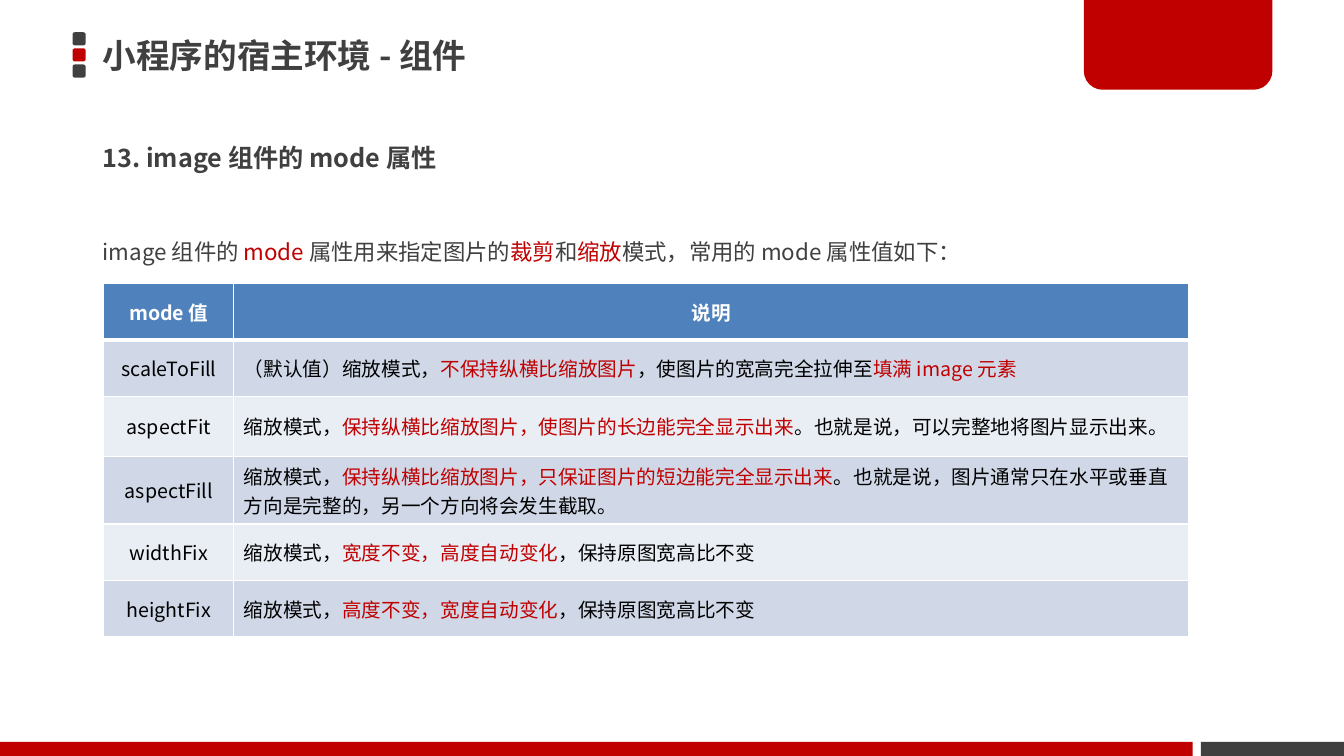
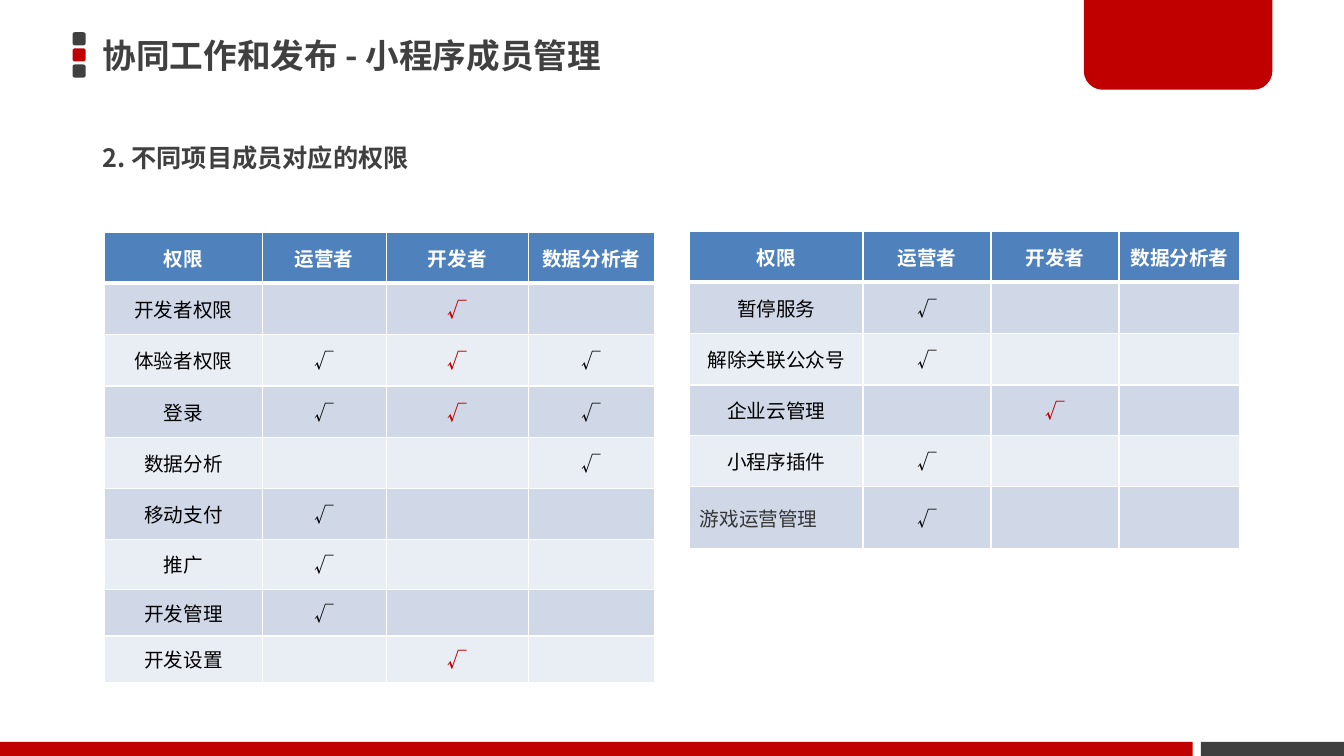
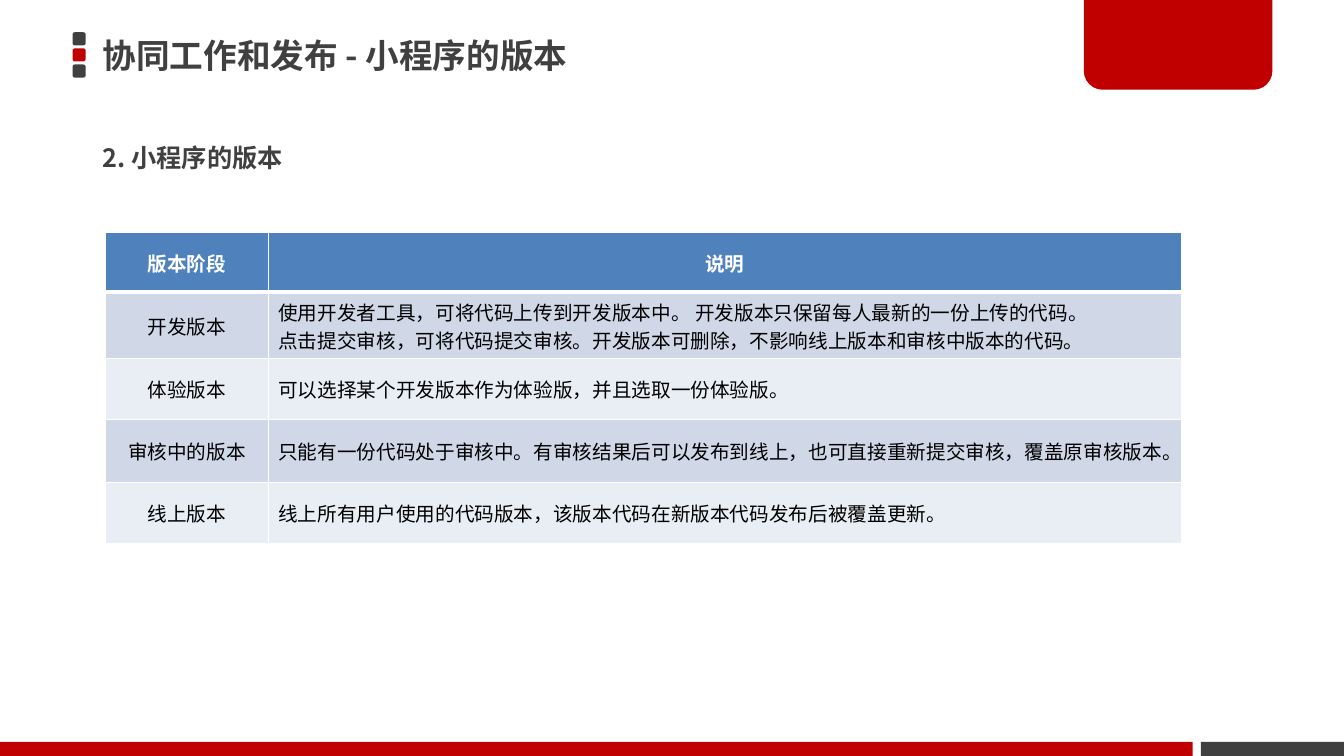
from dataclasses import dataclass

import pptx
import pptx.dml.color
import pptx.enum.lang
import pptx.enum.shapes
import pptx.enum.text
import pptx.oxml
import pptx.oxml.ns
import pptx.util

Inches = pptx.util.Inches
Pt = pptx.util.Pt
Shape = pptx.enum.shapes.MSO_SHAPE
Align = pptx.enum.text.PP_ALIGN
Anchor = pptx.enum.text.MSO_ANCHOR

FONT = "Noto Sans CJK JP"
RED, GREY, BLACK, WHITE = "C00000", "404040", "000000", "FFFFFF"
HEAD = "4F81BD"
BANDS = ("E9EDF4", "D0D8E8")
TICK = "√"
HOT = "|√|"


@dataclass
class Block:
    kind: int
    left: float
    top: float
    width: float
    height: float
    fill: str
    bends: tuple = ()


@dataclass
class Label:
    top: float
    width: float
    size: float
    bold: bool = True
    pitch: float = 1.0
    anchor: int = Anchor.MIDDLE


@dataclass
class Grid:
    left: float
    top: float
    cols: list[float]
    rows: list[float]
    cells: list[list[str]]
    prose: bool = False


FRAME = [
    *(Block(Shape.ROUNDED_RECTANGLE, 0.72, 0.32 + 0.16 * i, 0.13, 0.13, fill, (0.17,))
      for i, fill in enumerate((GREY, RED, GREY))),
    Block(Shape.RECTANGLE, 11.91, 7.36, 1.42, 0.14, GREY),
    Block(Shape.ROUND_2_SAME_RECTANGLE, 10.75, 0, 1.87, 0.89, RED, (0, 0.21)),
    Block(Shape.RECTANGLE, 0, 7.36, 11.83, 0.14, RED),
]
TITLE = Label(0.26, 9.59, 24)
TOPIC = Label(1.28, 10.77, 18)
INTRO = Label(2.18, 10.77, 16, False, 1.5, Anchor.TOP)


def tint(code: str) -> pptx.dml.color.RGBColor:
    return pptx.dml.color.RGBColor.from_string(code)


def write(para, text: str, size: float, color: str, bold: bool) -> None:
    for i, part in enumerate(text.split("|")):
        for j, line in enumerate(part.split("\n")):
            if j:
                para.add_line_break()
            if not line:
                continue
            run = para.add_run()
            run.text = line
            font = run.font
            font.name = FONT
            font.size = Pt(size)
            font.bold = bold or (i % 2 == 1 and line == TICK)
            font.color.rgb = tint(RED if i % 2 else color)
            font.language_id = pptx.enum.lang.MSO_LANGUAGE_ID.SIMPLIFIED_CHINESE
            east = pptx.oxml.parse_xml(
                f'<a:ea {pptx.oxml.ns.nsdecls("a")} typeface="{FONT}"/>')
            run._r.rPr.find(pptx.oxml.ns.qn("a:latin")).addnext(east)


def place(slide, block: Block) -> None:
    shape = slide.shapes.add_shape(
        block.kind, Inches(block.left), Inches(block.top),
        Inches(block.width), Inches(block.height))
    for i, bend in enumerate(block.bends):
        shape.adjustments[i] = bend
    shape.shadow.inherit = False
    shape.fill.solid()
    shape.fill.fore_color.rgb = tint(block.fill)
    shape.line.fill.background()


def label(slide, text: str, style: Label) -> None:
    box = slide.shapes.add_textbox(
        Inches(0.92), Inches(style.top), Inches(style.width), Inches(0.57))
    frame = box.text_frame
    frame.word_wrap = True
    frame.vertical_anchor = style.anchor
    para = frame.paragraphs[0]
    para.line_spacing = style.pitch
    write(para, text, style.size, GREY, style.bold)


def edge(cell, row: int) -> None:
    props = cell._tc.get_or_add_tcPr()
    for side in "LRTB":
        thick = (row, side) in ((0, "B"), (1, "T"))
        props.append(pptx.oxml.parse_xml(
            f'<a:ln{side} {pptx.oxml.ns.nsdecls("a")} w="{Pt(3 if thick else 1)}">'
            f'<a:solidFill><a:srgbClr val="{WHITE}"/></a:solidFill></a:ln{side}>'))


def draw(slide, grid: Grid):
    table = slide.shapes.add_table(
        len(grid.rows), len(grid.cols), Inches(grid.left), Inches(grid.top),
        Inches(sum(grid.cols)), Inches(sum(grid.rows))).table
    for col, width in zip(table.columns, grid.cols):
        col.width = Inches(width)
    for r, (height, texts) in enumerate(zip(grid.rows, grid.cells)):
        table.rows[r].height = Inches(height)
        for c, text in enumerate(texts):
            cell = table.cell(r, c)
            edge(cell, r)
            cell.fill.solid()
            cell.fill.fore_color.rgb = tint(BANDS[r % 2] if r else HEAD)
            cell.vertical_anchor = Anchor.MIDDLE
            para = cell.text_frame.paragraphs[0]
            left = grid.prose and r and c
            para.alignment = Align.LEFT if left else Align.CENTER
            write(para, text, 14, BLACK if r else WHITE, r == 0)
    return table


def start(deck, title: str, topic: str):
    slide = deck.slides.add_slide(deck.slide_layouts[6])
    for block in FRAME:
        place(slide, block)
    label(slide, title, TITLE)
    label(slide, topic, TOPIC)
    return slide


MODES = Grid(1.03, 2.81, [1.29, 9.47], [0.56, 0.56, 0.6, 0.67, 0.56, 0.56], [
    ["mode 值", "说明"],
    ["scaleToFill", "（默认值）缩放模式，|不保持纵横比缩放图片|，使图片的宽高完全拉伸至|填满 image 元素|"],
    ["aspectFit", "缩放模式，|保持纵横比缩放图片，使图片的长边能完全显示出来|。也就是说，可以完整地将图片显示出来。"],
    ["aspectFill", "缩放模式，|保持纵横比缩放图片，只保证图片的短边能完全显示出来|。也就是说，图片通常只在水平或垂直方向是完整的，另一个方向将会发生截取。"],
    ["widthFix", "缩放模式，|宽度不变，高度自动变化|，保持原图宽高比不变"],
    ["heightFix", "缩放模式，|高度不变，宽度自动变化|，保持原图宽高比不变"],
], True)

ROLES = ["权限", "运营者", "开发者", "数据分析者"]
RIGHTS = Grid(1.04, 2.31, [1.56, 1.23, 1.41, 1.25],
              [0.5] + [0.51] * 4 + [0.5] * 2 + [0.46] * 2, [
    ROLES,
    ["开发者权限", "", HOT, ""],
    ["体验者权限", TICK, HOT, TICK],
    ["登录", TICK, HOT, TICK],
    ["数据分析", "", "", TICK],
    ["移动支付", TICK, "", ""],
    ["推广", TICK, "", ""],
    ["开发管理", TICK, "", ""],
    ["开发设置", "", HOT, ""],
])
MORE = Grid(6.84, 2.3, [1.72, 1.27, 1.27, 1.2], [0.5, 0.51, 0.51, 0.5, 0.51, 0.61], [
    ROLES,
    ["暂停服务", TICK, "", ""],
    ["解除关联公众号", TICK, "", ""],
    ["企业云管理", "", HOT, ""],
    ["小程序插件", TICK, "", ""],
    ["游戏运营管理", TICK, "", ""],
])

STAGES = Grid(1.05, 2.31, [1.61, 9.06], [0.59, 0.66, 0.6, 0.63, 0.6], [
    ["版本阶段", "说明"],
    ["开发版本", "使用开发者工具，可将代码上传到开发版本中。 开发版本只保留每人最新的一份上传的代码。\n"
                 "点击提交审核，可将代码提交审核。开发版本可删除，不影响线上版本和审核中版本的代码。"],
    ["体验版本", "可以选择某个开发版本作为体验版，并且选取一份体验版。"],
    ["审核中的版本", "只能有一份代码处于审核中。有审核结果后可以发布到线上，也可直接重新提交审核，覆盖原审核版本。"],
    ["线上版本", "线上所有用户使用的代码版本，该版本代码在新版本代码发布后被覆盖更新。"],
], True)


def main() -> None:
    deck = pptx.Presentation()
    deck.slide_width, deck.slide_height = Inches(13.33), Inches(7.5)

    slide = start(deck, "小程序的宿主环境 - 组件", "13. image 组件的 mode 属性")
    label(slide, "image 组件的 |mode |属性用来指定图片的|裁剪|和|缩放|模式，常用的 mode 属性值如下：", INTRO)
    draw(slide, MODES)

    slide = start(deck, "协同工作和发布 - 小程序成员管理", "2. 不同项目成员对应的权限")
    draw(slide, RIGHTS)
    game = draw(slide, MORE).cell(5, 0)
    game.margin_top = game.margin_right = game.margin_bottom = Inches(0.17)
    para = game.text_frame.paragraphs[0]
    para.alignment = Align.LEFT
    para.runs[0].font.color.rgb = tint("353535")

    slide = start(deck, "协同工作和发布 - 小程序的版本", "2. 小程序的版本")
    draw(slide, STAGES)

    deck.save("out.pptx")


if __name__ == "__main__":
    main()
